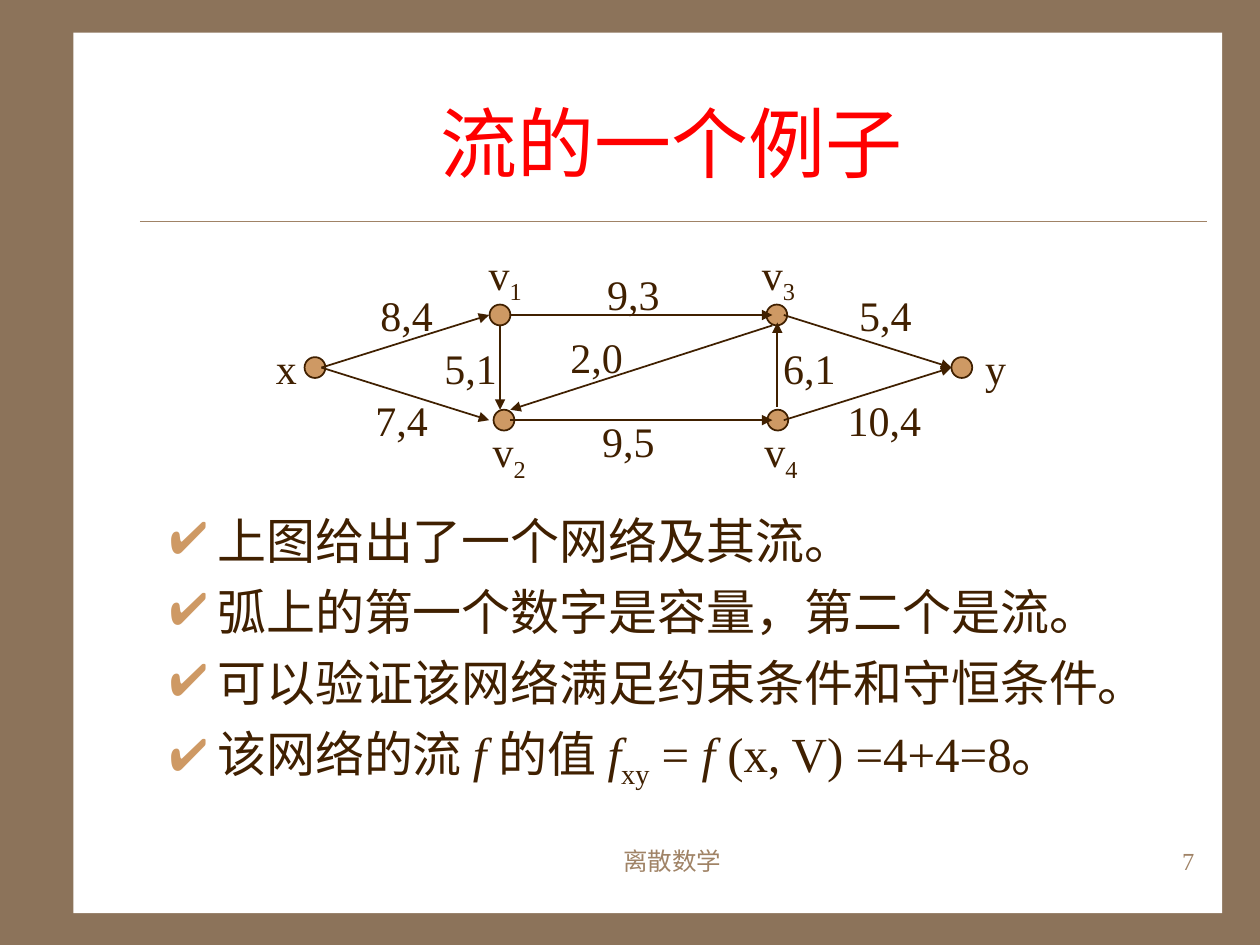
from lxml import etree
from pptx import Presentation
from pptx import util as u
from pptx.dml.color import RGBColor
from pptx.enum import shapes, text
from pptx.oxml import ns

FONT = "Times New Roman"
COLORS = {"frame": "8C735A", "panel": "FFFFFF", "rule": "A08366",
          "title": "FF0000", "ink": "402000", "accent": "CE9964"}
NODE_SIZE = 0.42
TITLE = "流的一个例子"
NODES = [
    ("x", "", (6.35, 7.41), (5.31, 6.78)),
    ("v", "1", (10.08, 6.35), (9.6, 4.88)),
    ("v", "2", (10.16, 8.47), (9.68, 8.46)),
    ("v", "4", (15.68, 8.47), (15.16, 8.46)),
    ("v", "3", (15.66, 6.35), (15.11, 4.88)),
    ("y", "", (19.39, 7.41), (19.61, 6.78)),
]
ARCS = [
    ("8,4", (7.42, 5.72), (6.48, 7.41), (9.86, 6.35)),
    ("7,4", (7.32, 7.82), (6.48, 7.41), (9.86, 8.47)),
    ("5,4", (17.07, 5.72), (15.8, 6.35), (19.18, 7.41)),
    ("10,4", (16.84, 7.82), (15.8, 8.47), (19.18, 7.41)),
    ("9,3", (11.99, 5.28), (10.29, 6.35), (15.57, 6.35)),
    ("9,5", (11.89, 8.26), (10.29, 8.47), (15.57, 8.47)),
    ("5,1", (8.71, 6.78), (10.08, 6.56), (10.08, 8.26)),
    ("6,1", (15.54, 6.78), (15.67, 8.2), (15.67, 6.5)),
    ("2,0", (11.25, 6.55), (15.57, 6.56), (10.29, 8.26)),
]
BULLETS = [
    [("上图给出了一个网络及其流。", "")],
    [("弧上的第一个数字是容量，第二个是流。", "")],
    [("可以验证该网络满足约束条件和守恒条件。", "")],
    [("该网络的流 ", ""), ("f ", "italic"), ("的值 ", ""), ("f", "italic"),
     ("xy", "sub"), (" = ", ""), ("f ", "italic"), ("(x, V) =4+4=8。", "")],
]
FOOTERS = [("离散数学", 9.53, 8.05, text.PP_ALIGN.CENTER),
           ("7", 19.05, 5.28, text.PP_ALIGN.RIGHT)]


def color(name):
    return RGBColor.from_string(COLORS[name])


def add_runs(paragraph, parts, size, ink="ink"):
    for words, style in parts:
        run = paragraph.add_run()
        run.text = words
        run.font.name, run.font.size = FONT, u.Pt(size)
        run.font.color.rgb = color(ink)
        if style == "italic":
            run.font.italic = True
        elif style == "sub":
            run._r.get_or_add_rPr().set("baseline", "-25000")


def add_text(slide, box, parts, size, ink="ink", wrap=False):
    frame = slide.shapes.add_textbox(*map(u.Cm, box)).text_frame
    frame.word_wrap = wrap
    if not wrap:
        frame.auto_size = text.MSO_AUTO_SIZE.SHAPE_TO_FIT_TEXT
    add_runs(frame.paragraphs[0], parts, size, ink)
    return frame.paragraphs[0]


def add_shape(slide, kind, box, fill, line=None):
    shape = slide.shapes.add_shape(kind, *map(u.Cm, box))
    shape.shadow.inherit = False
    shape.fill.solid()
    shape.fill.fore_color.rgb = color(fill)
    if line:
        shape.line.color.rgb = color(line)
        shape.line.width = u.Pt(1)
    else:
        shape.line.fill.background()


def add_line(slide, start, end, ink, width, arrow=False):
    line = slide.shapes.add_connector(
        shapes.MSO_CONNECTOR.STRAIGHT, *map(u.Cm, start + end))
    line.line.color.rgb = color(ink)
    line.line.width = u.Pt(width)
    if arrow:
        tail = etree.SubElement(line.line._get_or_add_ln(), ns.qn("a:tailEnd"))
        tail.set("type", "triangle")
    etree.SubElement(line._element.spPr, ns.qn("a:effectLst"))


def add_check(paragraph):
    properties = paragraph._p.get_or_add_pPr()
    properties.set("marL", str(u.Cm(0.95)))
    properties.set("indent", str(-u.Cm(0.95)))
    bullet_color = etree.SubElement(properties, ns.qn("a:buClr"))
    etree.SubElement(bullet_color, ns.qn("a:srgbClr")).set("val", COLORS["accent"])
    etree.SubElement(properties, ns.qn("a:buSzPct")).set("val", "115000")
    etree.SubElement(properties, ns.qn("a:buChar")).set("char", "✔")


def add_title(slide):
    title = slide.shapes.title
    title.element.getparent().append(title.element)
    title.left, title.top, title.width, title.height = map(
        u.Cm, (2.75, 1.27, 21.59, 3.18))
    title.text_frame.vertical_anchor = text.MSO_ANCHOR.MIDDLE
    paragraph = title.text_frame.paragraphs[0]
    paragraph.alignment = text.PP_ALIGN.CENTER
    add_runs(paragraph, [(TITLE, "")], 44, "title")


def add_network(slide):
    for name, index, (x, y), corner in NODES:
        half = NODE_SIZE / 2
        add_shape(slide, shapes.MSO_SHAPE.OVAL,
                  (x - half, y - half, NODE_SIZE, NODE_SIZE), "accent", "ink")
        parts = [(name, "")] + ([(index, "sub")] if index else [])
        size = (1.17, 1.42) if index else (0.91, 1.27)
        add_text(slide, corner + size, parts, 24)
    for label, corner, start, end in ARCS:
        add_line(slide, start, end, "ink", 1, arrow=True)
        width = 1.6 if len(label) == 3 else 2.05
        add_text(slide, corner + (width, 1.27), [(label, "")], 24)


def add_bullets(slide):
    frame = slide.shapes.add_textbox(
        *map(u.Cm, (3.18, 10.16, 21.59, 6.78))).text_frame
    frame.word_wrap = True
    for number, parts in enumerate(BULLETS):
        paragraph = frame.add_paragraph() if number else frame.paragraphs[0]
        paragraph.space_before = u.Pt(7)
        add_check(paragraph)
        add_runs(paragraph, parts, 28)


def main():
    """Build the network flow slide."""
    presentation = Presentation()
    presentation.slide_width, presentation.slide_height = u.Cm(25.4), u.Cm(19.05)
    slide = presentation.slides.add_slide(presentation.slide_layouts[5])
    slide.background.fill.solid()
    slide.background.fill.fore_color.rgb = color("frame")
    add_shape(slide, shapes.MSO_SHAPE.RECTANGLE, (1.48, 0.66, 23.16, 17.75), "panel")
    add_line(slide, (2.82, 4.45), (24.34, 4.45), "rule", 0.25)
    for words, left, width, alignment in FOOTERS:
        paragraph = add_text(slide, (left, 16.93, width, 1.27), [(words, "")],
                             14, "rule", wrap=True)
        paragraph.alignment = alignment
        paragraph.space_before = u.Pt(8.8)
    add_title(slide)
    add_bullets(slide)
    add_network(slide)
    presentation.save("out.pptx")


if __name__ == "__main__":
    main()
